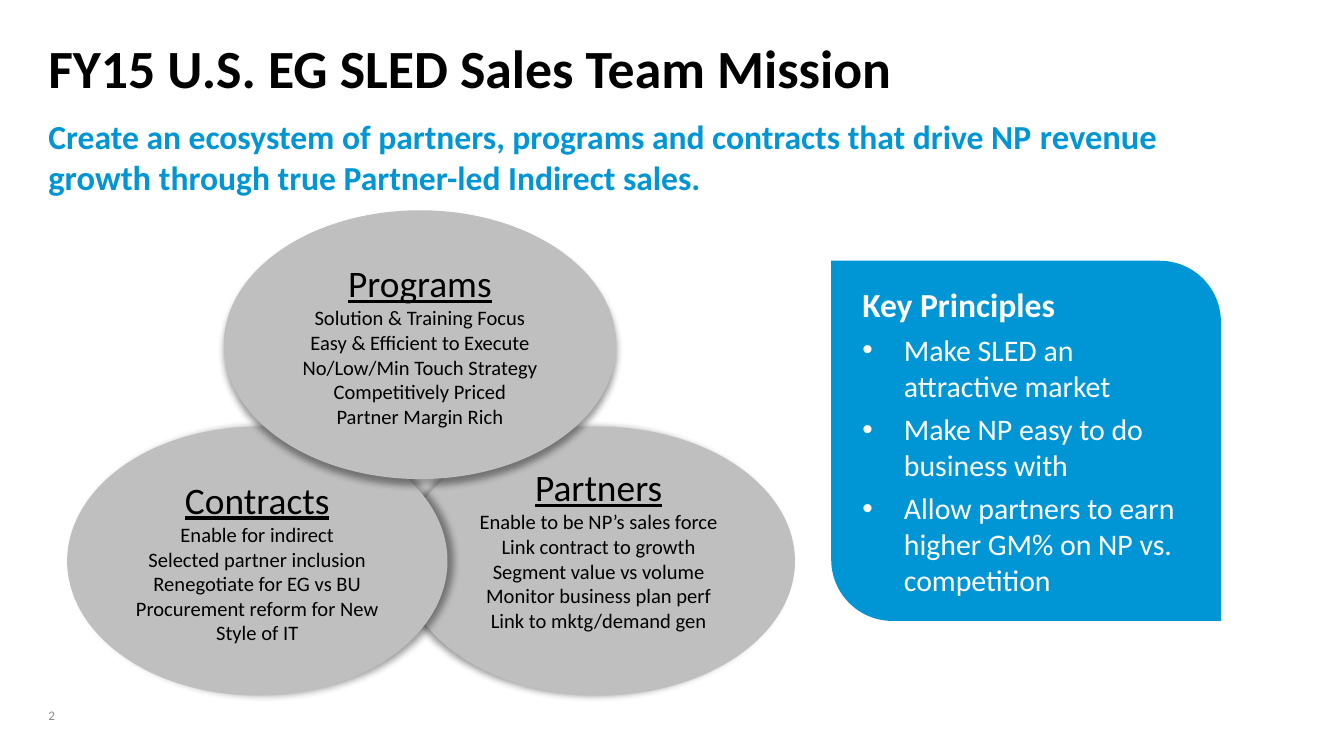
from lxml import etree
from pptx import Presentation
from pptx import util as u
from pptx.dml.color import RGBColor
from pptx.enum import shapes, text
from pptx.oxml.ns import qn

PX = 4572  # 200 px to the inch
COLORS = {"ink": "000000", "blue": "0096D6", "oval": "BFBFBF",
          "white": "FFFFFF", "page": "87898B"}


def add_run(paragraph, words, size, color, bold=False, underline=False):
    run = paragraph.add_run()
    run.text = words
    font = run.font
    font.name, font.size = "Calibri", u.Pt(size)
    font.bold, font.underline = bold, underline
    font.color.rgb = RGBColor.from_string(COLORS[color])


def set_frame(shape, insets, anchor, wrap=True):
    """Set insets (left, top, right, bottom), anchor and wrap; return the frame."""
    frame = shape.text_frame
    frame.margin_left, frame.margin_top, frame.margin_right, frame.margin_bottom = (
        side * PX for side in insets)
    frame.vertical_anchor, frame.word_wrap = anchor, wrap
    frame.auto_size = text.MSO_AUTO_SIZE.NONE
    return frame


TOP, MIDDLE = text.MSO_ANCHOR.TOP, text.MSO_ANCHOR.MIDDLE
prs = Presentation()
prs.slide_width, prs.slide_height = 2000 * PX, 1125 * PX
slide = prs.slides.add_slide(prs.slide_layouts[5])

# Heading, mission and page number
title = slide.shapes.title
title.left, title.top, title.width, title.height = (
    n * PX for n in (72, 52, 1776, 94))
heading = set_frame(title, (0, 0, 0, 0), TOP).paragraphs[0]
heading.alignment = text.PP_ALIGN.LEFT
add_run(heading, "FY15 U.S. EG SLED Sales Team Mission", 28.8, "ink", bold=True)

mission_box = slide.shapes.add_textbox(72 * PX, 171 * PX, 1776 * PX, 794 * PX)
mission = set_frame(mission_box, (0, 0, 0, 0), TOP).paragraphs[0]
mission.space_after = u.Pt(4)
for words, size in (
        ("Create an ecosystem of partners, programs and contracts that drive NP ", 18),
        ("revenue growth", 18.5),
        (" through true Partner-led Indirect sales.", 18)):
    add_run(mission, words, size, "blue", bold=True)

page_box = slide.shapes.add_textbox(72 * PX, 1049 * PX, 70 * PX, 32 * PX)
page = set_frame(page_box, (0, 10, 20, 10), MIDDLE, wrap=False).paragraphs[0]
add_run(page, "2", 7, "page")

# Overlapping ovals: left, top, width, bottom inset, shadow angle, lines
ovals = [
    (599, 635, 584, 37, 180, [
        "Partners", "Enable to be NP’s sales force", "Link contract to growth",
        "Segment value vs volume", "Monitor business plan perf",
        "Link to mktg/demand gen"]),
    (100, 635, 566, 0, 0, [
        "Contracts", "Enable for indirect", "Selected partner inclusion",
        "Renegotiate for EG vs BU", "Procurement reform for New Style of IT"]),
    (333, 313, 584, 0, 90, [
        "Programs", "Solution & Training Focus", "Easy & Efficient to Execute",
        "No/Low/Min Touch Strategy", "Competitively Priced",
        "Partner Margin Rich"]),
]
for left, top, width, bottom, angle, lines in ovals:
    oval = slide.shapes.add_shape(shapes.MSO_SHAPE.OVAL, left * PX, top * PX,
                                  width * PX, 400 * PX)
    oval.fill.solid()
    oval.fill.fore_color.rgb = RGBColor.from_string(COLORS["oval"])
    oval.line.fill.background()
    oval.shadow.inherit = False
    effects = oval.element.spPr.find(qn("a:effectLst"))
    shadow = etree.SubElement(effects, qn("a:outerShdw"), blurRad=str(u.Pt(4)),
                              dist=str(u.Pt(3)), dir=str(angle * 60000),
                              algn="ctr", rotWithShape="0")
    shade = etree.SubElement(shadow, qn("a:srgbClr"), val=COLORS["ink"])
    etree.SubElement(shade, qn("a:alpha"), val="40000")

    frame = set_frame(oval, (17, 0, 17, bottom), MIDDLE)
    for i, line in enumerate(lines):
        paragraph = frame.add_paragraph() if i else frame.paragraphs[0]
        paragraph.alignment = text.PP_ALIGN.CENTER
        add_run(paragraph, line, 11 if i else 20, "ink", underline=i == 0)

# Key principles card, rounded at top right and bottom left
card = slide.shapes.add_shape(shapes.MSO_SHAPE.ROUND_2_DIAG_RECTANGLE,
                              1237 * PX, 388 * PX, 580 * PX, 536 * PX)
card.adjustments[0], card.adjustments[1] = 0, 0.17
card.fill.solid()
card.fill.fore_color.rgb = RGBColor.from_string(COLORS["blue"])
card.line.fill.background()
card.shadow.inherit = False
frame = set_frame(card, (20, 20, 20, 20), MIDDLE)
principles = ["Key Principles", "Make SLED an attractive market",
              "Make NP easy to do business with",
              "Allow partners to earn higher GM% on NP vs. competition"]
for i, principle in enumerate(principles):
    paragraph = frame.add_paragraph() if i else frame.paragraphs[0]
    paragraph.alignment = text.PP_ALIGN.LEFT
    paragraph.space_after = u.Pt(4)
    if i:
        paragraph.level = 1
        props = paragraph._p.get_or_add_pPr()
        props.set("marL", str(62 * PX))
        props.set("indent", str(-62 * PX))
        etree.SubElement(props, qn("a:buFont"), typeface="Arial")
        etree.SubElement(props, qn("a:buChar"), char="•")
    add_run(paragraph, principle, 16 if i else 18, "white", bold=i == 0)

prs.save("out.pptx")
